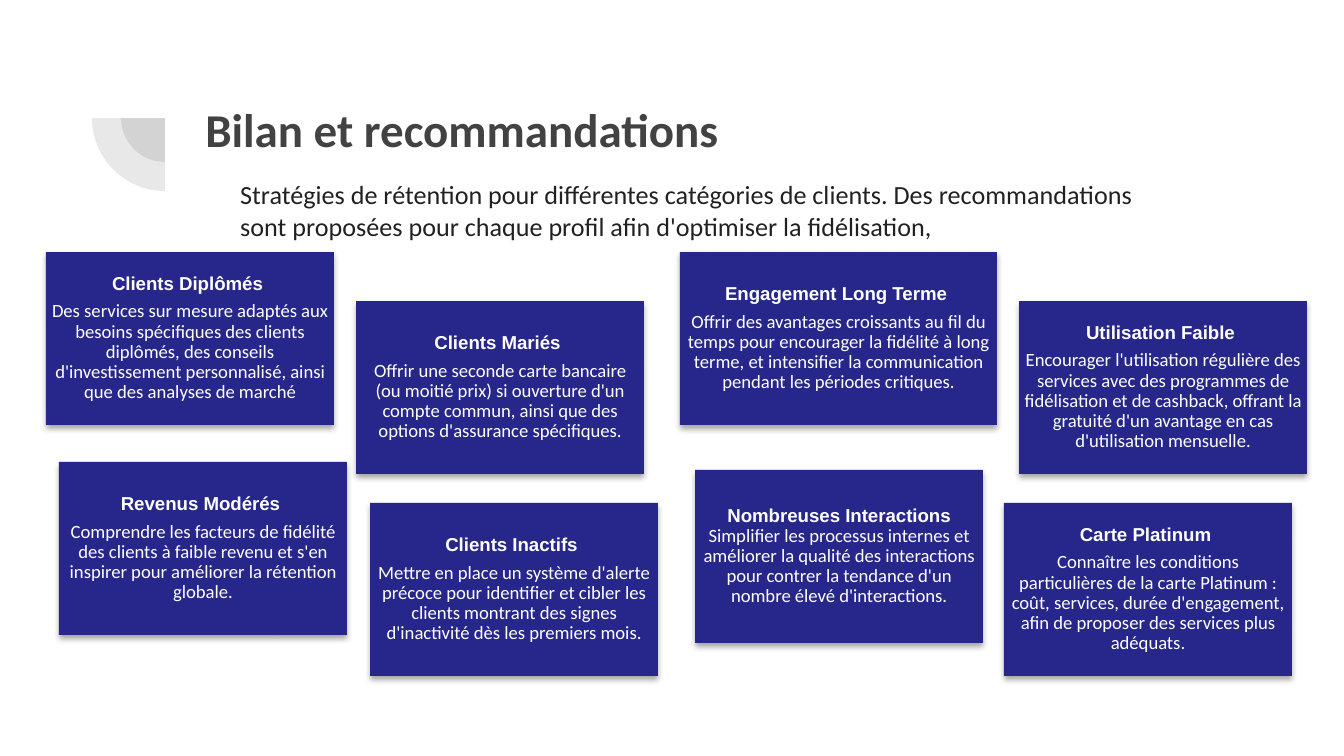
"""Build the slide of retention recommendations per customer profile."""
from lxml import etree
from pptx import Presentation
from pptx.dml.color import RGBColor
from pptx.enum.shapes import MSO_SHAPE
from pptx.enum.text import MSO_ANCHOR, PP_ALIGN
from pptx.oxml import parse_xml
from pptx.oxml.ns import nsdecls, qn
from pptx.util import Emu, Pt

RECTANGLE, PIE = MSO_SHAPE.RECTANGLE, MSO_SHAPE.PIE
MIDDLE, CENTER = MSO_ANCHOR.MIDDLE, PP_ALIGN.CENTER
WHITE = RGBColor(0xFF, 0xFF, 0xFF)
NAVY = RGBColor(0x27, 0x27, 0x8B)
GRAY = RGBColor(0x42, 0x42, 0x42)
INK = RGBColor(0x21, 0x21, 0x21)

SLIDE_WIDTH, SLIDE_HEIGHT = 1344, 756
CARD_WIDTH, WIDE_CARD_WIDTH, CARD_HEIGHT, CARD_INSET = 288, 317, 173, 5
PIE_CENTER = (165, 118)
PIE_RADII = (44, 73)

TITLE = "Bilan et recommandations"
SUBTITLE = ("Stratégies de rétention pour différentes catégories de clients. Des recommandations "
            "sont proposées pour chaque profil afin d'optimiser la fidélisation,")
INLINE_HEADING = "Nombreuses Interactions"
CARDS = [
    (46, 252, CARD_WIDTH, "Clients Diplômés",
     "Des services sur mesure adaptés aux besoins spécifiques des clients diplômés, des conseils "
     "d'investissement personnalisé, ainsi que des analyses de marché"),
    (356, 301, CARD_WIDTH, "Clients Mariés",
     "Offrir une seconde carte bancaire (ou moitié prix) si ouverture d'un compte commun, "
     "ainsi que des options d'assurance spécifiques."),
    (680, 252, WIDE_CARD_WIDTH, "Engagement Long Terme",
     "Offrir des avantages croissants au fil du temps pour encourager la fidélité à long terme, "
     "et intensifier la communication pendant les périodes critiques."),
    (1019, 301, CARD_WIDTH, "Utilisation Faible",
     "Encourager l'utilisation régulière des services avec des programmes de fidélisation et de "
     "cashback, offrant la gratuité d'un avantage en cas d'utilisation mensuelle."),
    (59, 462, CARD_WIDTH, "Revenus Modérés",
     "Comprendre les facteurs de fidélité des clients à faible revenu et s'en inspirer pour "
     "améliorer la rétention globale."),
    (370, 503, CARD_WIDTH, "Clients Inactifs",
     "Mettre en place un système d'alerte précoce pour identifier et cibler les clients montrant "
     "des signes d'inactivité dès les premiers mois."),
    (695, 470, CARD_WIDTH, INLINE_HEADING,
     "Simplifier les processus internes et améliorer la qualité des interactions pour contrer la "
     "tendance d'un nombre élevé d'interactions."),
    (1004, 503, CARD_WIDTH, "Carte Platinum",
     "Connaître les conditions particulières de la carte Platinum : coût, services, durée "
     "d'engagement, afin de proposer des services plus adéquats."),
]


def px(length):
    return Emu(round(length * 9144000 / SLIDE_WIDTH))


def add_filled_shape(slide, kind, box, color):
    shape = slide.shapes.add_shape(kind, *map(px, box))
    shape.shadow.inherit = False
    shape.fill.solid()
    shape.fill.fore_color.rgb = color
    shape.line.fill.background()
    return shape


def add_pie(slide, radius):
    left, top = (center - radius for center in PIE_CENTER)
    shape = add_filled_shape(slide, PIE, (left, top, 2 * radius, 2 * radius), GRAY)
    shape.rotation = 270
    shape.adjustments[0], shape.adjustments[1] = 108, 162
    color = shape.fill._xPr.find(".//" + qn("a:srgbClr"))
    etree.SubElement(color, qn("a:alpha"), val="12000")


def add_text(slide, box, text, size, color, bold=False):
    frame = slide.shapes.add_textbox(*map(px, box)).text_frame
    frame.word_wrap = True
    paragraph = frame.paragraphs[0]
    paragraph.text = text
    font = paragraph.font
    font.name, font.size, font.bold = "Calibri", Pt(size), bold
    font.color.rgb = color
    return frame


def add_shadow(shape):
    effects = shape._element.spPr.find(qn("a:effectLst"))
    effects.append(parse_xml(
        f'<a:outerShdw {nsdecls("a")} blurRad="40000" dist="23000" dir="5400000" rotWithShape="0">'
        '<a:srgbClr val="000000"><a:alpha val="35000"/></a:srgbClr></a:outerShdw>'))


def add_card(slide, left, top, width, heading, body):
    shape = add_filled_shape(slide, RECTANGLE, (left, top, width, CARD_HEIGHT), NAVY)
    add_shadow(shape)
    frame = shape.text_frame
    frame.word_wrap = True
    frame.vertical_anchor = MIDDLE
    frame.margin_left = frame.margin_right = px(CARD_INSET)
    frame.margin_top = frame.margin_bottom = px(CARD_INSET)
    first = frame.paragraphs[0]
    second = first if heading == INLINE_HEADING else frame.add_paragraph()
    for paragraph, text, name, bold in ((first, heading + " ", "Arial", True),
                                        (second, body, "Calibri", False)):
        paragraph.alignment = CENTER
        paragraph.line_spacing = 0.9
        paragraph.space_after = Pt(4)
        run = paragraph.add_run()
        run.text = text
        font = run.font
        font.name, font.size, font.bold = name, Pt(10), bold
        font.color.rgb = WHITE


def main():
    presentation = Presentation()
    presentation.slide_width = px(SLIDE_WIDTH)
    presentation.slide_height = px(SLIDE_HEIGHT)
    slide = presentation.slides.add_slide(presentation.slide_layouts[6])
    for radius in PIE_RADII:
        add_pie(slide, radius)
    title = add_text(slide, (192, 87, 1034, 146), TITLE, 25.2, GRAY, bold=True)
    title.margin_top = title.margin_bottom = px(13)
    for card in CARDS:
        add_card(slide, *card)
    add_text(slide, (227, 172, 961, 77), SUBTITLE, 14, INK)
    presentation.save("out.pptx")


if __name__ == "__main__":
    main()
